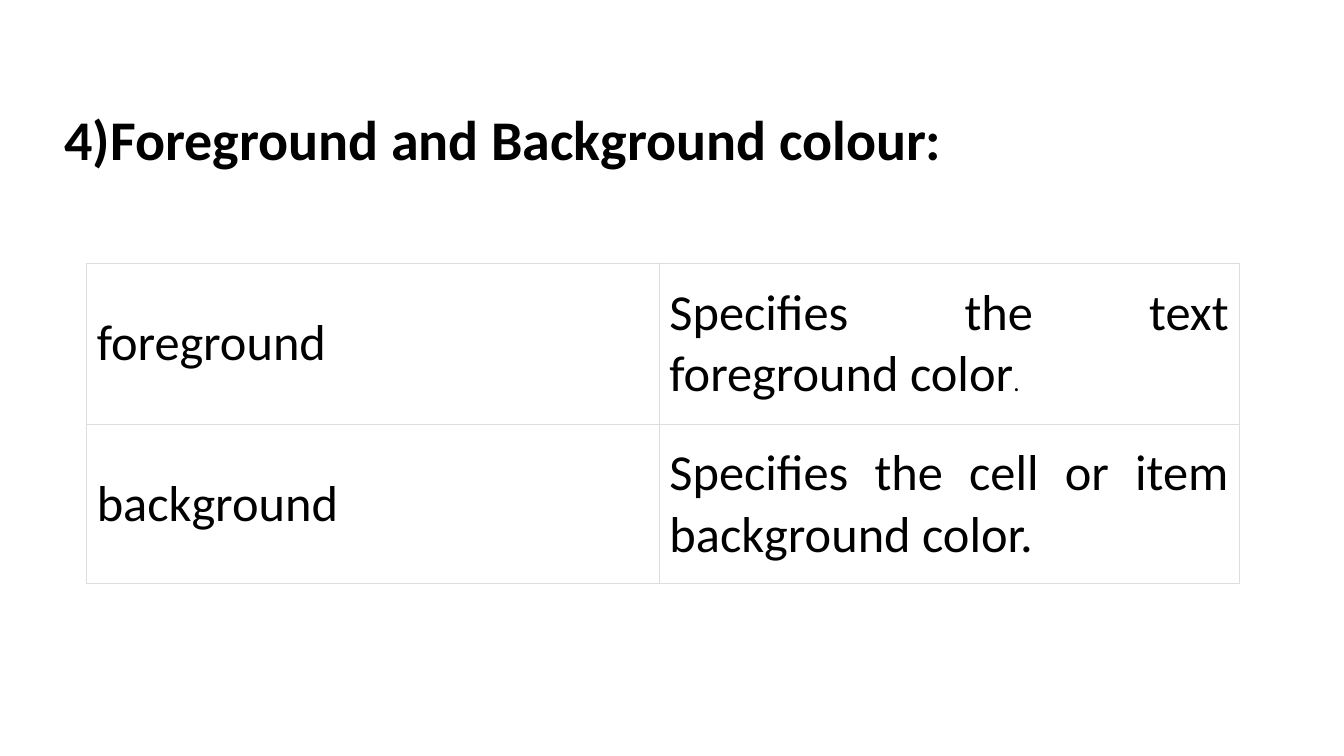
import pptx
import pptx.dml.color
import pptx.enum.text
import pptx.oxml
import pptx.oxml.ns
import pptx.util

TITLE = "4)Foreground and Background colour:"
ROWS = [
    [[("foreground", 36)],
     [("Specifies the text foreground color", 36), (".", 18)]],
    [[("background", 36)],
     [("Specifies the cell or item background color.", 36)]],
]
COL_WIDTHS = [5.68, 5.75]
ROW_HEIGHTS = [1.6, 1.58]
FONT, INK, PAPER, BORDER = "Calibri", "000000", "FFFFFF", "DDDDDD"
BORDER_PT = 0.6

Inches, Pt = pptx.util.Inches, pptx.util.Pt


def color(value):
    return pptx.dml.color.RGBColor.from_string(value)


def add_run(p, text, size, bold=False):
    r = p.add_run()
    r.text = text
    r.font.name = FONT
    r.font.size = Pt(size)
    r.font.bold = bold
    r.font.color.rgb = color(INK)


def set_borders(cell):
    tc_pr = cell._tc.get_or_add_tcPr()
    for i, side in enumerate(("lnL", "lnR", "lnT", "lnB")):
        tc_pr.insert(i, pptx.oxml.parse_xml(
            f'<a:{side} {pptx.oxml.ns.nsdecls("a")} w="{Pt(BORDER_PT)}">'
            f'<a:solidFill><a:srgbClr val="{BORDER}"/></a:solidFill></a:{side}>'))


prs = pptx.Presentation()
prs.slide_width, prs.slide_height = Inches(13.33), Inches(7.5)
s = prs.slides.add_slide(prs.slide_layouts[6])

tf = s.shapes.add_textbox(Inches(0.54), Inches(0.99), Inches(12.79), Inches(1.45)).text_frame
tf.word_wrap = True
add_run(tf.paragraphs[0], TITLE, 40, True)

table = s.shapes.add_table(
    len(ROWS), len(COL_WIDTHS), Inches(0.86), Inches(2.61),
    Inches(sum(COL_WIDTHS)), Inches(sum(ROW_HEIGHTS))).table
table.first_row = table.horz_banding = False
for col, width in zip(table.columns, COL_WIDTHS):
    col.width = Inches(width)
for row, height, contents in zip(table.rows, ROW_HEIGHTS, ROWS):
    row.height = Inches(height)
    for cell, runs in zip(row.cells, contents):
        cell.fill.solid()
        cell.fill.fore_color.rgb = color(PAPER)
        cell.vertical_anchor = pptx.enum.text.MSO_ANCHOR.MIDDLE
        set_borders(cell)
        p = cell.text_frame.paragraphs[0]
        p.alignment = pptx.enum.text.PP_ALIGN.JUSTIFY
        for text, size in runs:
            add_run(p, text, size)

prs.save("out.pptx")
